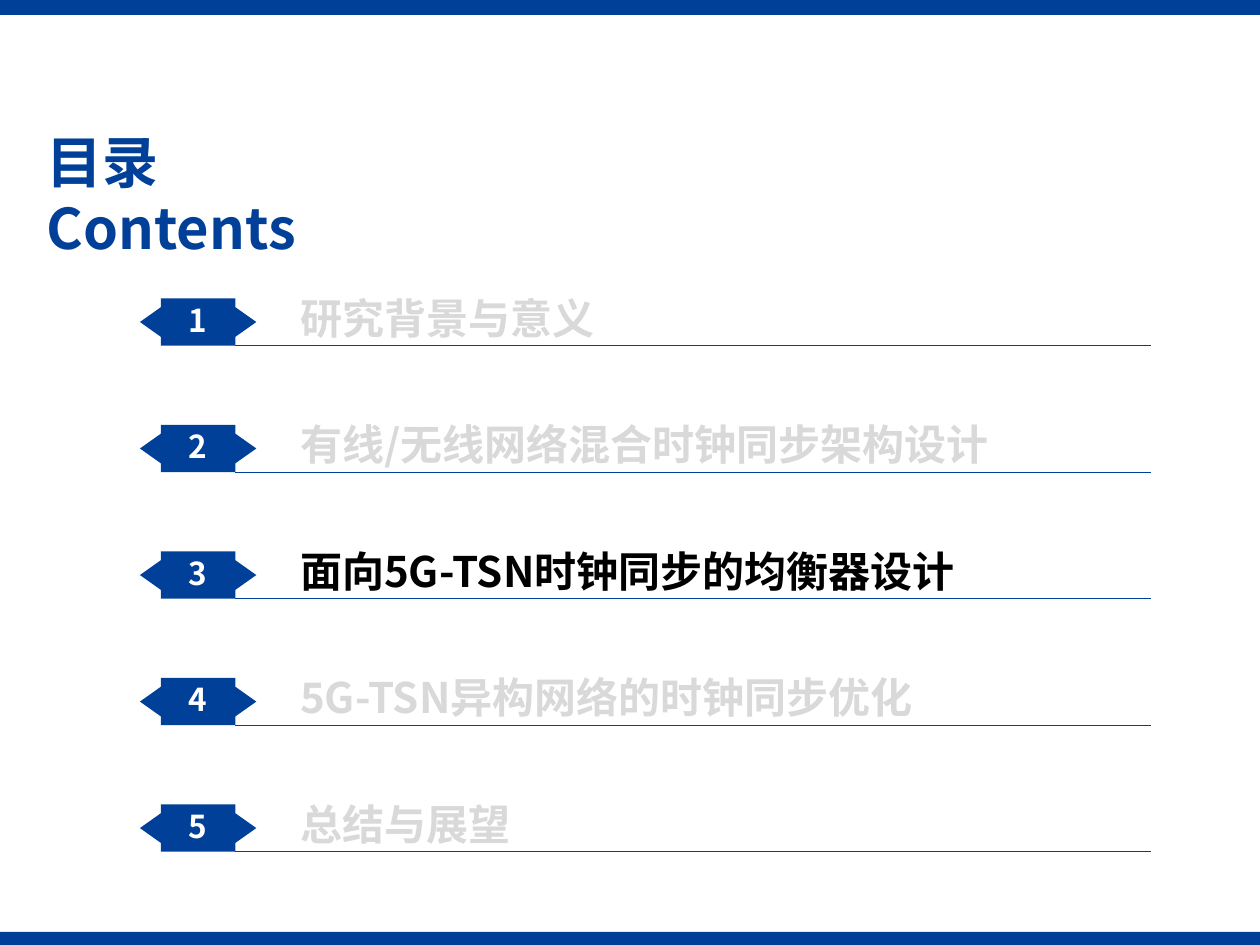
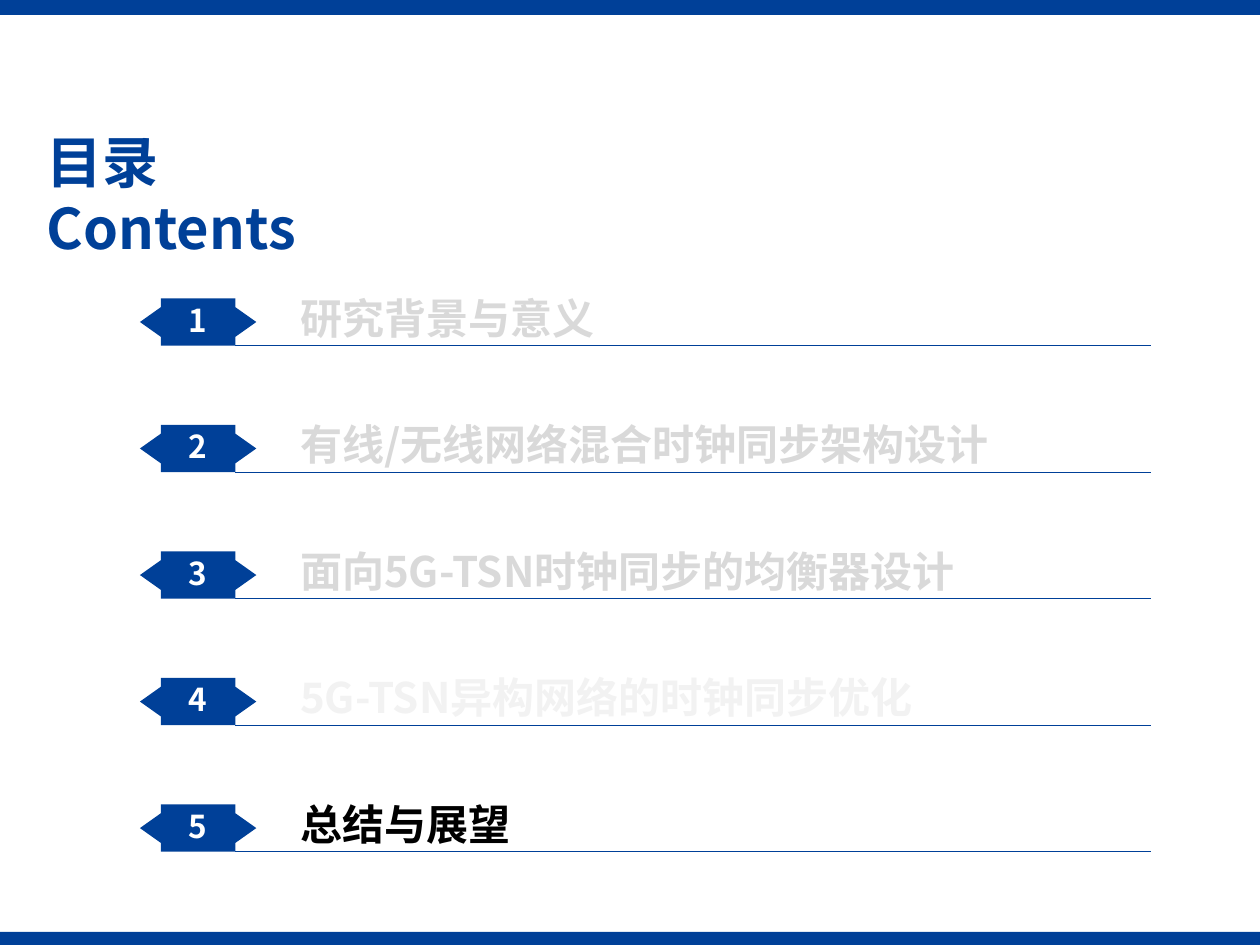
"""Build two contents slides that highlight sections three and five."""
from dataclasses import dataclass
from typing import Optional

from lxml import etree
from pptx import Presentation
from pptx import util as u
from pptx.dml.color import RGBColor
from pptx.enum import shapes, text
from pptx.oxml.ns import qn

Pt = u.Pt
BLUE = RGBColor(0x00, 0x40, 0x98)
WHITE = RGBColor(0xFF, 0xFF, 0xFF)
BLACK = RGBColor(0x00, 0x00, 0x00)
GREY = RGBColor(0xD9, 0xD9, 0xD9)
PALE_GREY = RGBColor(0xF2, 0xF2, 0xF2)
FONT = "Noto Sans CJK SC"
SLIDE_WIDTH, SLIDE_HEIGHT = 720, 540

FIRST_ROW_TOP, ROW_PITCH = 170.5, 72.3
BADGE_HEIGHT = 27
BADGE_LEFT, BODY_LEFT, BODY_RIGHT, BADGE_RIGHT = 80, 92, 134.5, 146.5
WING_INSET = 5
RULE_RIGHT = 657.5


@dataclass(frozen=True)
class Box:
    left: float
    top: float
    width: float
    height: float

    def lengths(self) -> tuple:
        return tuple(Pt(value) for value in (self.left, self.top, self.width, self.height))


@dataclass(frozen=True)
class TextStyle:
    size: float
    color: RGBColor
    align: text.PP_ALIGN = text.PP_ALIGN.LEFT
    anchor: text.MSO_ANCHOR = text.MSO_ANCHOR.TOP
    line_height: Optional[float] = None
    margin_top: float = 3.6


@dataclass(frozen=True)
class Contents:
    colors: tuple


BANDS = (Box(0, 532.5, SLIDE_WIDTH, 7.5), Box(0, 0, SLIDE_WIDTH, 8.5))
TITLE_BOX = Box(19.5, 67.5, 235, 86)
TITLE_STYLE = TextStyle(32, BLUE, line_height=38, margin_top=5.5)
NUMBER_STYLE = TextStyle(18, WHITE, text.PP_ALIGN.CENTER, text.MSO_ANCHOR.MIDDLE)
TITLE_LINES = ("目录", "Contents")
SECTIONS = (
    "研究背景与意义",
    "有线/无线网络混合时钟同步架构设计",
    "面向5G-TSN时钟同步的均衡器设计",
    "5G-TSN异构网络的时钟同步优化",
    "总结与展望",
)
SLIDES = (
    Contents((GREY, GREY, BLACK, GREY, GREY)),
    Contents((GREY, GREY, GREY, PALE_GREY, BLACK)),
)


def write_lines(shape, lines: tuple, style: TextStyle) -> None:
    frame = shape.text_frame
    frame.word_wrap = True
    frame.auto_size = text.MSO_AUTO_SIZE.NONE
    frame.vertical_anchor = style.anchor
    frame.margin_top = Pt(style.margin_top)
    paragraph = frame.paragraphs[0]
    paragraph.alignment = style.align
    if style.line_height:
        paragraph.line_spacing = Pt(style.line_height)
    for index, line in enumerate(lines):
        if index:
            paragraph.add_line_break()
        run = paragraph.add_run()
        run.text = line
        run.font.name = FONT
        run.font.size = Pt(style.size)
        run.font.bold = True
        run.font.color.rgb = style.color
        east_asian = etree.SubElement(run.font._element, qn("a:ea"))
        east_asian.set("typeface", FONT)


def add_text(slide, box: Box, content: str, style: TextStyle) -> None:
    write_lines(slide.shapes.add_textbox(*box.lengths()), (content,), style)


def paint_blue(shape) -> None:
    shape.shadow.inherit = False
    shape.fill.solid()
    shape.fill.fore_color.rgb = BLUE
    shape.line.fill.background()


def add_master_bands(master, slide) -> None:
    for box in BANDS:
        band = slide.shapes.add_shape(shapes.MSO_SHAPE.RECTANGLE, *box.lengths())
        paint_blue(band)
        master.shapes.element.append(band.element)


def add_badge(slide, top: float, number: int) -> None:
    bottom, middle = top + BADGE_HEIGHT, top + BADGE_HEIGHT / 2
    wing_top, wing_bottom = top + WING_INSET, bottom - WING_INSET
    outline = (
        (BODY_LEFT, top), (BODY_LEFT, wing_top), (BADGE_LEFT, middle),
        (BODY_LEFT, wing_bottom), (BODY_LEFT, bottom), (BODY_RIGHT, bottom),
        (BODY_RIGHT, wing_bottom), (BADGE_RIGHT, middle), (BODY_RIGHT, wing_top),
    )
    builder = slide.shapes.build_freeform(Pt(BODY_RIGHT), Pt(top))
    builder.add_line_segments([(Pt(x), Pt(y)) for x, y in outline], close=True)
    paint_blue(builder.convert_to_shape())
    add_text(slide, Box(98, top - 5, 30, 34.5), str(number), NUMBER_STYLE)


def add_rule(slide, top: float) -> None:
    rule = slide.shapes.add_connector(
        shapes.MSO_CONNECTOR.STRAIGHT, Pt(BODY_RIGHT), Pt(top), Pt(RULE_RIGHT), Pt(top)
    )
    rule.line.color.rgb = BLUE
    rule.line.width = Pt(0.5)
    etree.SubElement(rule.element.spPr, qn("a:effectLst"))


def add_title(slide) -> None:
    title = slide.shapes.title
    title.left, title.top, title.width, title.height = TITLE_BOX.lengths()
    write_lines(title, TITLE_LINES, TITLE_STYLE)


def fill_slide(slide, contents: Contents) -> None:
    add_title(slide)
    for index, (section, color) in enumerate(zip(SECTIONS, contents.colors)):
        top = FIRST_ROW_TOP + index * ROW_PITCH
        add_badge(slide, top, index + 1)
        add_rule(slide, top + BADGE_HEIGHT)
        style = TextStyle(24, color, line_height=28.8)
        add_text(slide, Box(164.5, top - 7, 492.5, 36), section, style)


def main() -> None:
    presentation = Presentation()
    presentation.slide_width = Pt(SLIDE_WIDTH)
    presentation.slide_height = Pt(SLIDE_HEIGHT)
    layout = presentation.slide_layouts.get_by_name("Title Only")
    slides = [presentation.slides.add_slide(layout) for _ in SLIDES]
    add_master_bands(presentation.slide_master, slides[0])
    for slide, contents in zip(slides, SLIDES):
        fill_slide(slide, contents)
    presentation.save("out.pptx")


if __name__ == "__main__":
    main()
